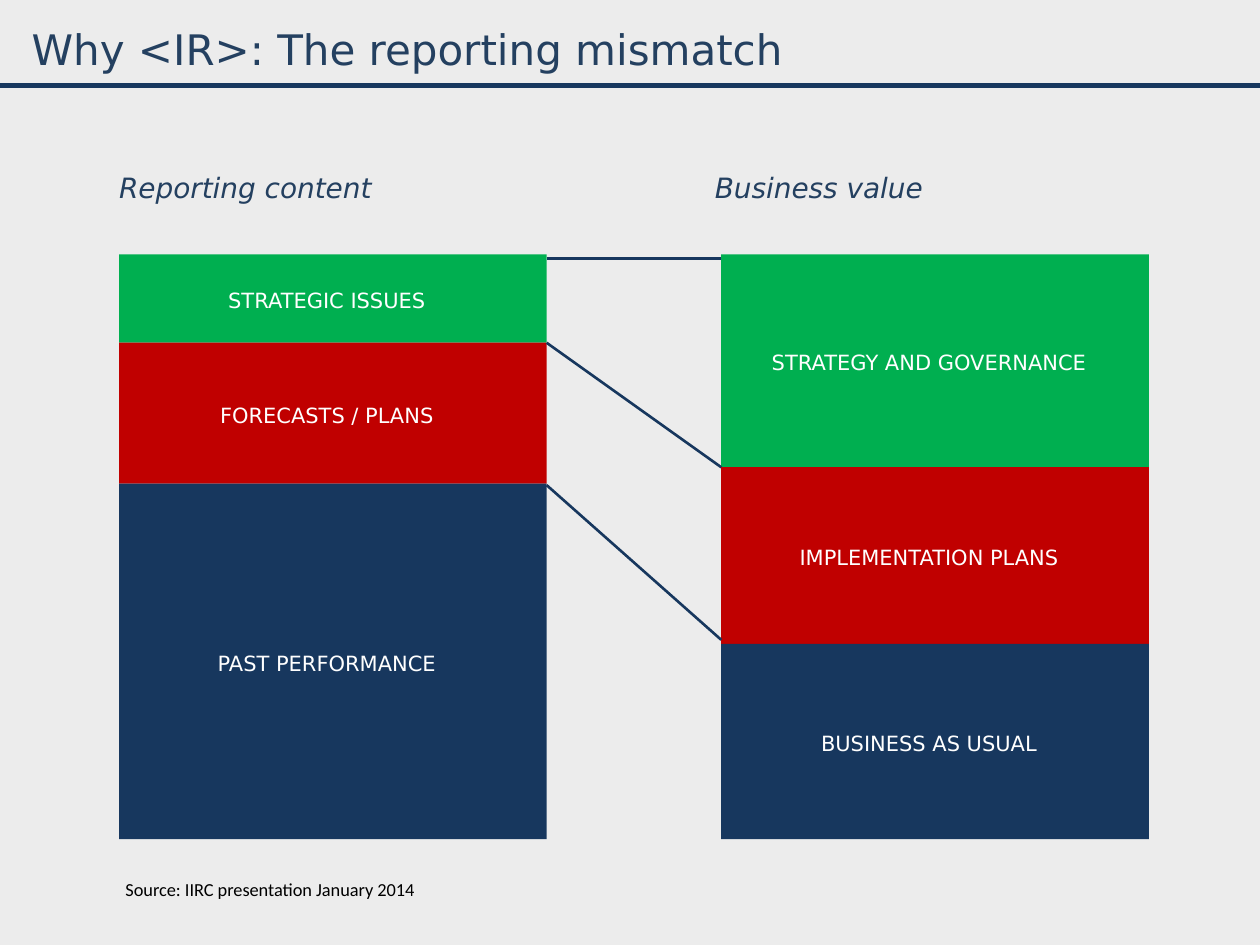
from pptx import Presentation
from pptx.dml.color import RGBColor
from pptx.enum.shapes import MSO_CONNECTOR, MSO_SHAPE
from pptx.enum.text import MSO_ANCHOR, PP_ALIGN
from pptx.oxml.ns import qn
from pptx.util import Cm, Pt
from lxml import etree

RECT = MSO_SHAPE.RECTANGLE
LINE = MSO_CONNECTOR.STRAIGHT
MID = MSO_ANCHOR.MIDDLE
CENTER = PP_ALIGN.CENTER

COLORS = {
    "back": "ECECEC", "navy": "17375E", "head": "244060", "green": "00AF50",
    "red": "C00000", "white": "FFFFFF", "black": "000000",
}
SANS = "DejaVu Sans"
WIDE, HIGH = 25.4, 19.05

# Height and label of each band, from top to bottom
BANDS = ("green", "red", "navy")
REPORT = [(1.78, "STRATEGIC ISSUES"), (2.84, "FORECASTS / PLANS"),
          (7.17, "PAST PERFORMANCE")]
VALUE = [(4.29, "STRATEGY AND GOVERNANCE"), (3.56, "IMPLEMENTATION PLANS"),
         (3.94, "BUSINESS AS USUAL")]
# Start and end of each link, measured down from the top of the stacks
LINKS = [(0.08, 0.08), (1.78, 4.29), (4.65, 7.77)]


def color(name):
    return RGBColor.from_string(COLORS[name])


def style(par, size, tint, face=SANS, slant=False):
    font = par.font
    font.name, font.size, font.italic = face, Pt(size), slant
    font.color.rgb = color(tint)


def add_text(slide, box, text, size, tint, face=SANS, slant=False):
    frame = slide.shapes.add_textbox(*map(Cm, box)).text_frame
    frame.margin_left = frame.margin_right = frame.margin_bottom = 0
    frame.margin_top = Cm(0.06)
    frame.word_wrap = True
    frame.text = text
    style(frame.paragraphs[0], size, tint, face, slant)


def add_line(slide, start, end, width):
    line = slide.shapes.add_connector(LINE, *map(Cm, start + end))
    line.line.color.rgb = color("navy")
    line.line.width = Pt(width)
    etree.SubElement(line._element.spPr, qn("a:effectLst"))


def add_header(slide, left, top, width):
    add_text(slide, (left + 0.64, top + 0.41, 15.47, 1.09),
             "Why <IR>: The reporting mismatch", 24, "head")
    add_line(slide, (left, top + 1.73), (left + width, top + 1.73), 3)


def add_stack(slide, left, top, width, bands):
    for tint, (height, label) in zip(BANDS, bands):
        band = slide.shapes.add_shape(
            RECT, Cm(left), Cm(top), Cm(width), Cm(height))
        band.shadow.inherit = False
        band.fill.solid()
        band.fill.fore_color.rgb = color(tint)
        band.line.fill.background()
        frame = band.text_frame
        frame.margin_left = frame.margin_bottom = 0
        frame.margin_right, frame.margin_top = Cm(0.24), Cm(0.06)
        frame.vertical_anchor = MID
        frame.text = label
        par = frame.paragraphs[0]
        par.alignment = CENTER
        style(par, 12, "white")
        top += height


def add_links(slide, left, top, width):
    for start, end in LINKS:
        add_line(slide, (left, top + start), (left + width, top + end), 1.5)


def add_chart(slide, left, top, width):
    band, gap = 8.62, 3.52
    right = left + width - band
    # Column headings
    add_text(slide, (left, top - 1.75, 5.4, 0.74),
             "Reporting content", 16, "head", slant=True)
    add_text(slide, (right - 0.13, top - 1.75, 4.5, 0.74),
             "Business value", 16, "head", slant=True)
    # Stacks and the lines between them
    add_stack(slide, left, top, band, REPORT)
    add_stack(slide, right, top, band, VALUE)
    add_links(slide, left + band, top, gap)


def main():
    deck = Presentation()
    deck.slide_width, deck.slide_height = Cm(WIDE), Cm(HIGH)
    slide = deck.slides.add_slide(deck.slide_layouts[6])
    fill = slide.background.fill
    fill.solid()
    fill.fore_color.rgb = color("back")

    add_header(slide, 0, 0, WIDE)
    add_chart(slide, 2.4, 5.13, 20.76)
    # Source note
    add_text(slide, (2.53, 17.65, 6.2, 0.51),
             "Source: IIRC presentation January 2014", 10.5, "black", "Calibri")
    deck.save("out.pptx")


if __name__ == "__main__":
    main()
